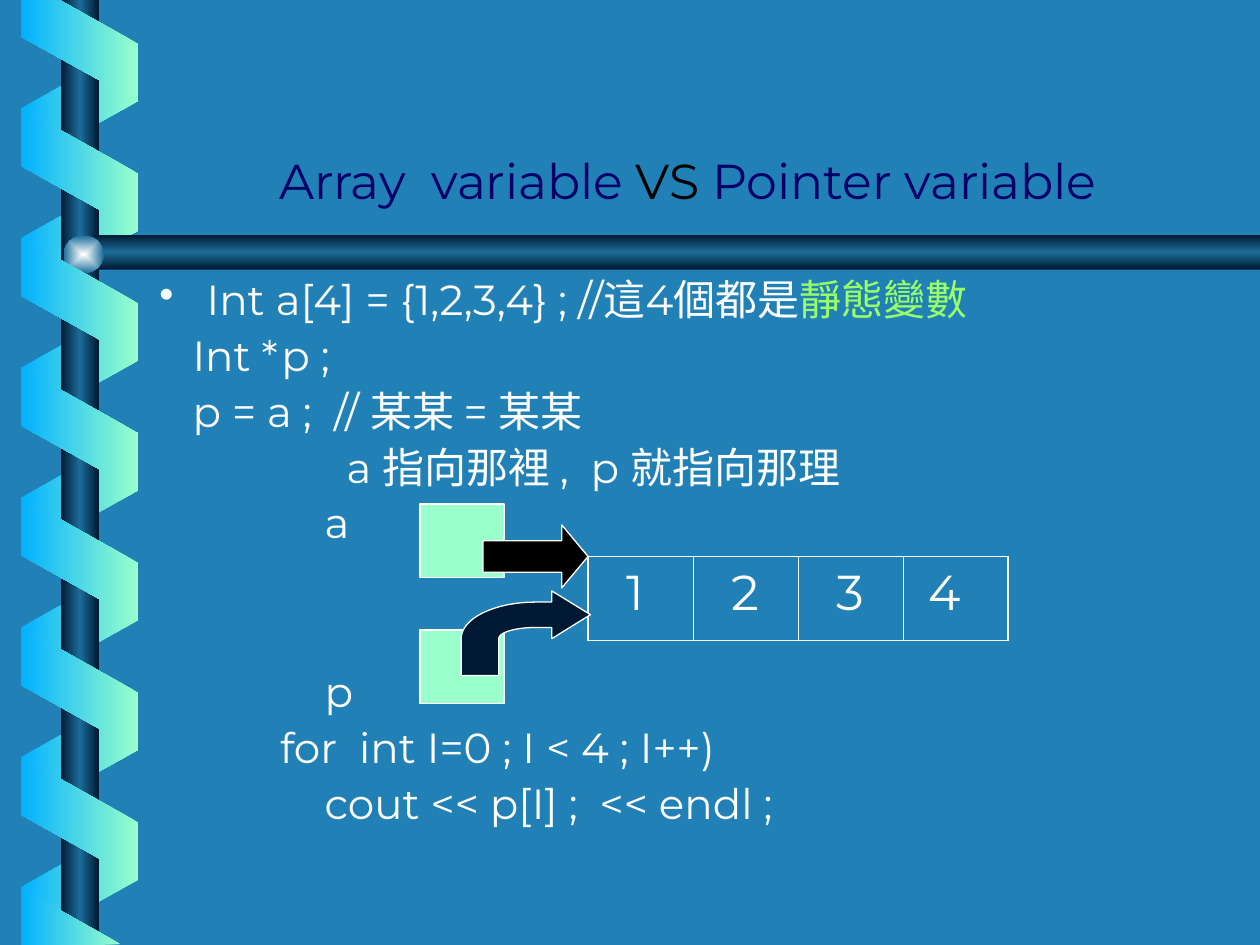
from math import cos, pi, sin

from lxml import etree
from pptx import Presentation
from pptx.dml.color import RGBColor
from pptx.enum.shapes import MSO_SHAPE
from pptx.enum.text import MSO_ANCHOR, MSO_AUTO_SIZE, PP_ALIGN
from pptx.oxml import parse_xml
from pptx.oxml.ns import nsdecls, qn
from pptx.util import Pt

RECT, OVAL = MSO_SHAPE.RECTANGLE, MSO_SHAPE.OVAL
SLANT, ARROW = MSO_SHAPE.PARALLELOGRAM, MSO_SHAPE.RIGHT_ARROW
BOTTOM, CENTER, FIXED = MSO_ANCHOR.BOTTOM, PP_ALIGN.CENTER, MSO_AUTO_SIZE.NONE

FACE = "Montserrat"
WHITE, BLACK, NAVY, DARK = "FFFFFF", "000000", "000066", "001932"
MINT, SKY, TEAL, LIME = "99FFCC", "01B0FF", "1C6D9A", "99FF66"
PIPE = (DARK, TEAL, DARK)
STEP = 74.16  # height of one ribbon turn

# Left indent, space before, runs of (text, colour)
LINES = [
    (27, 0, [("Int a[4] = {1,2,3,4} ; //這4個都是", WHITE), ("靜態變數", LIME)]),
    (19, 6, [("Int *p ;", WHITE)]),
    (19, 6, [("p = a ;  // 某某 = 某某", WHITE)]),
    (107, 6, [("a 指向那裡 ,  p 就指向那理", WHITE)]),
    (94.5, 6, [("a", WHITE)]),
    (94.5, 70.5, [("p", WHITE)]),
    (69, 6, [("for  int I=0 ; I < 4 ; I++)", WHITE)]),
    (94.5, 6, [("cout << p[I] ;  << endl ;", WHITE)]),
]


def rgb(code):
    return RGBColor.from_string(code)


def style(shape, fill, line=None):
    shape.shadow.inherit = False
    if fill:
        shape.fill.solid()
        shape.fill.fore_color.rgb = rgb(fill)
    if line:
        shape.line.color.rgb = rgb(line)
        shape.line.width = Pt(0.75)
    else:
        shape.line.fill.background()


def fade(shape, codes, angle=None):
    """Fill with evenly spaced stops: linear, or from the middle if no angle."""
    style(shape, None)
    last = len(codes) - 1
    stops = "".join(
        f'<a:gs pos="{100000 * i // last}"><a:srgbClr val="{c}"/></a:gs>'
        for i, c in enumerate(codes))
    if angle is None:
        way = ('<a:path path="rect"><a:fillToRect l="50000" t="50000" '
               'r="50000" b="50000"/></a:path>')
    else:
        way = f'<a:lin ang="{angle * 60000}" scaled="0"/>'
    grad = parse_xml(f'<a:gradFill {nsdecls("a")} rotWithShape="0">'
                     f'<a:gsLst>{stops}</a:gsLst>{way}</a:gradFill>')
    shape._element.spPr.find(qn("a:ln")).addprevious(grad)


def add_shape(slide, kind, x, y, w, h):
    return slide.shapes.add_shape(kind, Pt(x), Pt(y), Pt(w), Pt(h))


def outline(slide, spots):
    first, *rest = [(Pt(x), Pt(y)) for x, y in spots]
    pen = slide.shapes.build_freeform(*first)
    pen.add_line_segments(rest, close=True)
    return pen.convert_to_shape()


def ribbon(slide, y, back):
    shape = add_shape(slide, SLANT, 10.08, y, 70.56, 66.96)
    shape.adjustments[0] = 0.56
    shape.rotation = 90 if back else 270
    if back:
        shape._element.spPr.find(qn("a:xfrm")).set("flipH", "1")
    fade(shape, (SKY, MINT) if back else (MINT, SKY), 180)


def add_runs(para, runs):
    for text, code in runs:
        run = para.add_run()
        run.text = text
        run.font.color.rgb = rgb(code)


def set_font(para, size):
    para.font.name = FACE
    para.font.size = Pt(size)


def spiral(slide):
    # Back of the ribbon, the two bars and their joint
    for i in range(7):
        ribbon(slide, 26.4 + STEP * i, True)
    fade(add_shape(slide, RECT, 34.9, 0, 21.6, 540), PIPE, 180)
    bar = [(720, 134.2), (54.6, 134.2), (43.2, 144), (54.6, 154), (720, 154)]
    fade(outline(slide, bar), PIPE, 90)
    fade(add_shape(slide, OVAL, 36.3, 134.6, 23, 21.6), ("FEFFFF", TEAL))

    # Front of the ribbon, with its cut ends
    for i in range(6):
        ribbon(slide, 63.4 + STEP * i, False)
    top = [(12, 0), (12, 21), (78.7, 58), (78.7, 25), (34, 0)]
    end = [(68.8, 539.5), (12, 507.6), (11.8, 540)]
    for spots in (top, end):
        fade(outline(slide, spots), (MINT, SKY), 180)


def heading(slide):
    title = slide.shapes.title
    title.left, title.top, title.width, title.height = map(Pt, (84, 63, 618, 60.5))
    frame = title.text_frame
    frame.auto_size = FIXED
    frame.vertical_anchor = BOTTOM
    para = frame.paragraphs[0]
    para.alignment = CENTER
    set_font(para, 28)
    add_runs(para, [("Array  variable ", NAVY), ("VS", BLACK),
                    (" Pointer variable", NAVY)])


def code_text(slide):
    box = slide.shapes.add_textbox(Pt(84), Pt(156), Pt(618), Pt(324))
    frame = box.text_frame
    frame.word_wrap = True
    for i, (left, gap, runs) in enumerate(LINES):
        para = frame.add_paragraph() if i else frame.paragraphs[0]
        props = para._p.get_or_add_pPr()
        props.set("marL", str(Pt(left)))
        if i == 0:  # only the first line has a bullet
            props.set("indent", str(-Pt(left)))
            color = etree.SubElement(props, qn("a:buClr"))
            etree.SubElement(color, qn("a:srgbClr"), val=WHITE)
            etree.SubElement(props, qn("a:buChar"), char="•")
        para.line_spacing = 0.9
        if gap:
            para.space_before = Pt(gap)
        set_font(para, 24)
        add_runs(para, runs)


def border(cell, sides):
    props = cell._tc.get_or_add_tcPr()
    for i, (side, width) in enumerate(sides):
        props.insert(i, parse_xml(
            f'<a:ln{side} {nsdecls("a")} w="{Pt(width)}"><a:solidFill>'
            f'<a:srgbClr val="{WHITE}"/></a:solidFill></a:ln{side}>'))


def array(slide):
    table = slide.shapes.add_table(1, 4, Pt(336), Pt(318), Pt(240), Pt(48)).table
    table.first_row = table.horz_banding = False
    thin, thick = 0.45, 1.08
    for i, left in enumerate((22, 22, 22, 14.5)):
        cell = table.cell(0, i)
        cell.margin_left = Pt(left)
        cell.fill.background()
        border(cell, [("L", thin if i else thick), ("R", thin if i < 3 else thick),
                      ("T", thick), ("B", thick)])
        para = cell.text_frame.paragraphs[0]
        set_font(para, 28)
        add_runs(para, [(str(i + 1), WHITE)])


def arc(x, y, wide, high, back=False):
    """Quarter bend around x, y from the left side to the top."""
    turns = [pi / 2 * i / 16 for i in range(17)]
    spots = [(x - wide * cos(t), y - high * sin(t)) for t in turns]
    return spots[::-1] if back else spots


def pointers(slide):
    # Box a with a straight arrow
    style(add_shape(slide, RECT, 240, 288, 48, 42), MINT, WHITE)
    arrow = add_shape(slide, ARROW, 276, 300, 60, 36)
    arrow.adjustments[1] = 0.417
    style(arrow, BLACK, WHITE)

    # Box p with a bent arrow
    style(add_shape(slide, RECT, 240, 360, 48, 42), MINT, WHITE)
    bend = [(263.5, 386), *arc(306, 365, 42.5, 20.9),
            (315.3, 344.1), (315.3, 337.7), (337.4, 351.3), (315.3, 365),
            (315.3, 358.6), *arc(306, 365, 21, 6.4, True), (285, 386)]
    style(outline(slide, bend), DARK, WHITE)


def main():
    deck = Presentation()
    deck.slide_width, deck.slide_height = Pt(720), Pt(540)
    slide = deck.slides.add_slide(deck.slide_layouts[5])
    slide.background.fill.solid()
    slide.background.fill.fore_color.rgb = rgb("2181B7")
    spiral(slide)
    heading(slide)
    code_text(slide)
    array(slide)
    pointers(slide)
    deck.save("out.pptx")


if __name__ == "__main__":
    main()
